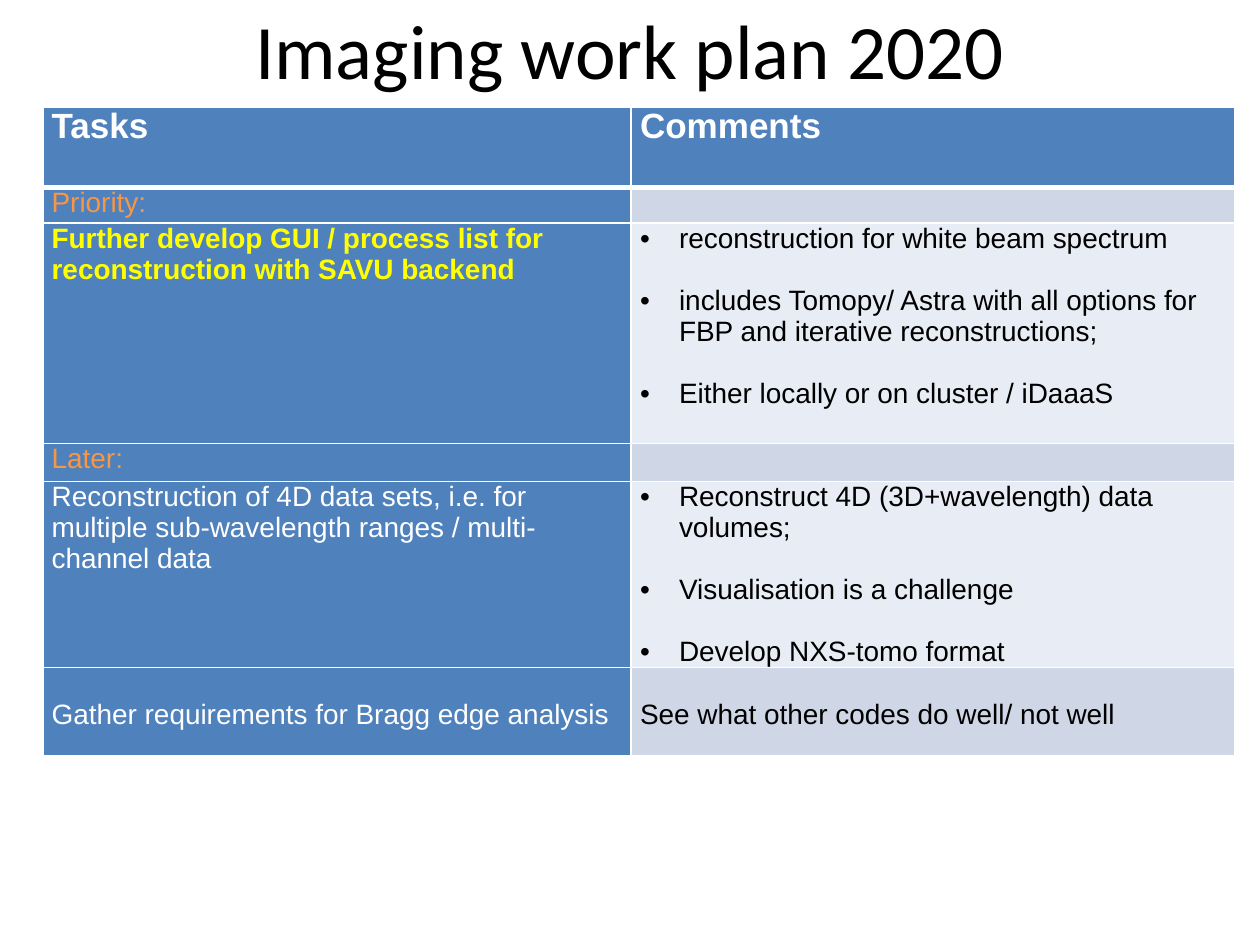
from lxml.etree import SubElement
from pptx import Presentation
from pptx.dml.color import RGBColor
from pptx.enum.text import MSO_ANCHOR, PP_ALIGN
from pptx.oxml.ns import qn
from pptx.util import Inches, Pt

BLUE, BAND, PALE = "4F81BD", "CFD7E7", "E8ECF4"
WHITE, BLACK, ORANGE, YELLOW = "FFFFFF", "000000", "F79646", "FFFF00"
COLUMNS = [4.67, 4.79]
LINE_GAP = 17.7  # one blank 16 pt line, in points

# Row height, task, task colour, comments, comment fill, top inset
ROWS = [
    (0.64, "Tasks", WHITE, ["Comments"], BLUE, 0),
    (0.28, "Priority:", ORANGE, [], BAND, 0),
    (1.75, "Further develop GUI / process list for reconstruction with SAVU backend", YELLOW,
     ["reconstruction for white beam spectrum",
      "includes Tomopy/ Astra with all options for FBP and iterative reconstructions;",
      "Either locally or on cluster / iDaaaS"], PALE, 0),
    (0.3, "Later:", ORANGE, [], BAND, 0),
    (1.48, "Reconstruction of 4D data sets, i.e. for multiple sub-wavelength ranges / "
     "multi-channel data", WHITE,
     ["Reconstruct 4D (3D+wavelength) data volumes;",
      "Visualisation is a challenge",
      "Develop NXS-tomo format"], PALE, 0),
    (0.7, "Gather requirements for Bragg edge analysis", WHITE,
     ["See what other codes do well/ not well"], BAND, 0.25),
]


def rgb(value):
    return RGBColor.from_string(value)


def style_text(para, font, size, color, bold=False):
    for span in para.runs:
        span.font.name, span.font.size = font, Pt(size)
        span.font.bold, span.font.color.rgb = bold, rgb(color)


def add_bullet(para):
    props = para._p.get_or_add_pPr()
    props.set("marL", str(Inches(0.31)))
    props.set("indent", str(-Inches(0.31)))
    SubElement(props, qn("a:buFont"), typeface="Arial")
    SubElement(props, qn("a:buChar"), char="•")


def add_borders(cell, bottom):
    props = cell._tc.get_or_add_tcPr()
    for side, width in (("L", 1), ("R", 1), ("T", 1), ("B", bottom)):
        line = SubElement(props, qn(f"a:ln{side}"), w=str(Pt(width)))
        fill = SubElement(line, qn("a:solidFill"))
        SubElement(fill, qn("a:srgbClr"), val=WHITE)


def fill_cell(cell, lines, color, fill, top, size, bold, bottom):
    add_borders(cell, bottom)
    cell.fill.solid()
    cell.fill.fore_color.rgb = rgb(fill)
    cell.margin_left = cell.margin_right = Inches(0.07)
    cell.margin_top, cell.margin_bottom = Inches(top), 0
    cell.vertical_anchor = MSO_ANCHOR.TOP
    frame = cell.text_frame
    if not lines:  # keep the empty cell from stretching its row
        SubElement(frame.paragraphs[0]._p, qn("a:endParaRPr"), sz="1000")
    for index, text in enumerate(lines):
        para = frame.add_paragraph() if index else frame.paragraphs[0]
        para.text = text
        if index:
            para.space_before = Pt(LINE_GAP)
        if len(lines) > 1:
            add_bullet(para)
        style_text(para, "Arial", size, color, bold)


def place_title(page, left, top, width, height):
    title = page.shapes.title
    title.left, title.top = Inches(left), Inches(top)
    title.width, title.height = Inches(width), Inches(height)
    frame = title.text_frame
    frame.text = "Imaging work plan 2020"
    frame.vertical_anchor = MSO_ANCHOR.MIDDLE
    frame.paragraphs[0].alignment = PP_ALIGN.CENTER
    style_text(frame.paragraphs[0], "Calibri", 44, BLACK)


def place_plan(page, left, top):
    height = sum(row[0] for row in ROWS)
    table = page.shapes.add_table(len(ROWS), len(COLUMNS), Inches(left), Inches(top),
                                  Inches(sum(COLUMNS)), Inches(height)).table
    for column, width in zip(table.columns, COLUMNS):
        column.width = Inches(width)
    for index, (row_height, task, color, comments, fill, inset) in enumerate(ROWS):
        table.rows[index].height = Inches(row_height)
        header = index == 0
        size, bottom = (20, 3) if header else (16, 1)
        fill_cell(table.cell(index, 0), [task], color, BLUE, inset, size,
                  header or color == YELLOW, bottom)
        fill_cell(table.cell(index, 1), comments, WHITE if header else BLACK, fill,
                  inset, size, header, bottom)


def main():
    deck = Presentation()
    deck.slide_width, deck.slide_height = Inches(10), Inches(7.5)
    page = deck.slides.add_slide(deck.slide_layouts[5])
    place_plan(page, 0.34, 0.85)
    place_title(page, 0.5, -0.24, 9, 1.25)
    deck.save("out.pptx")


if __name__ == "__main__":
    main()
